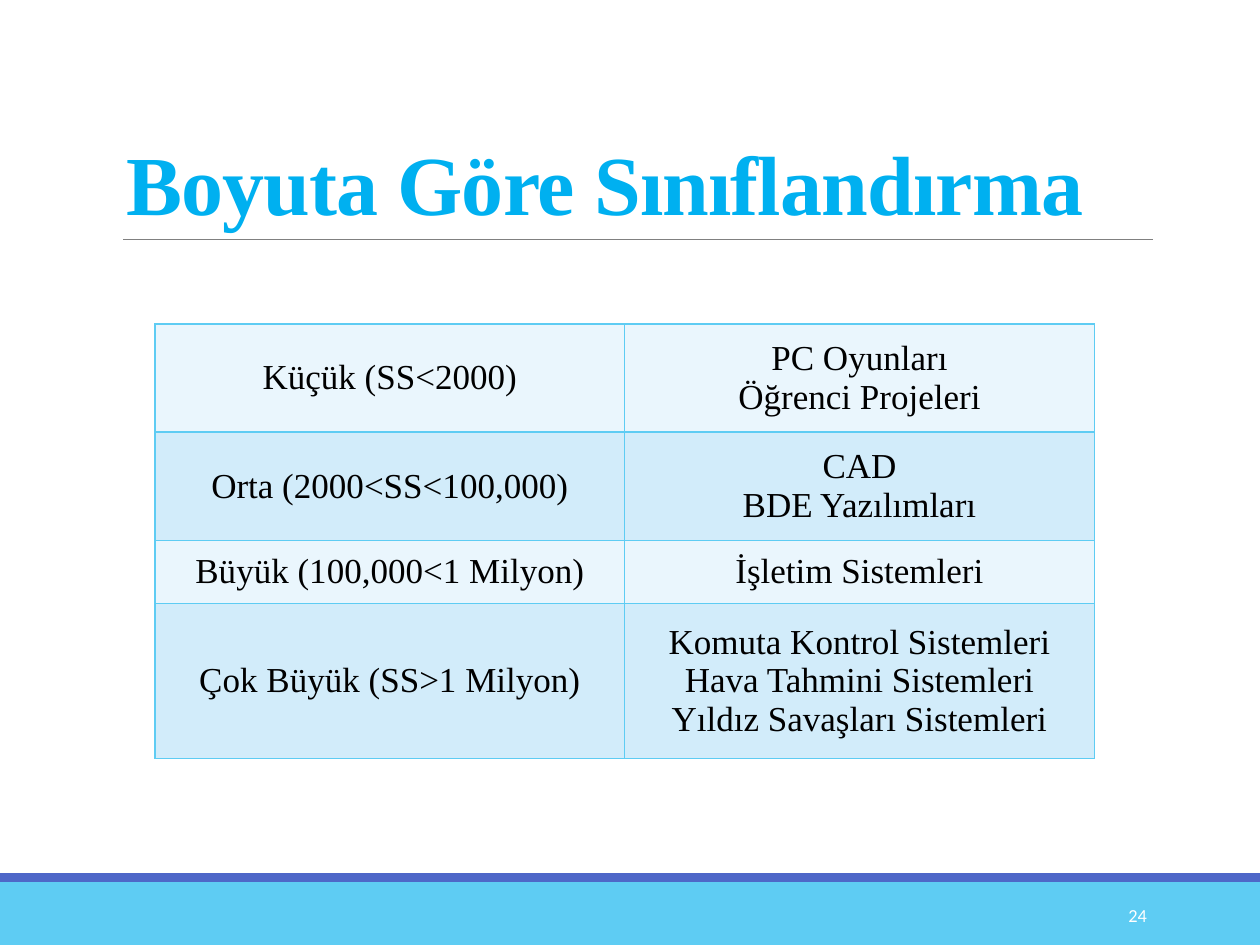
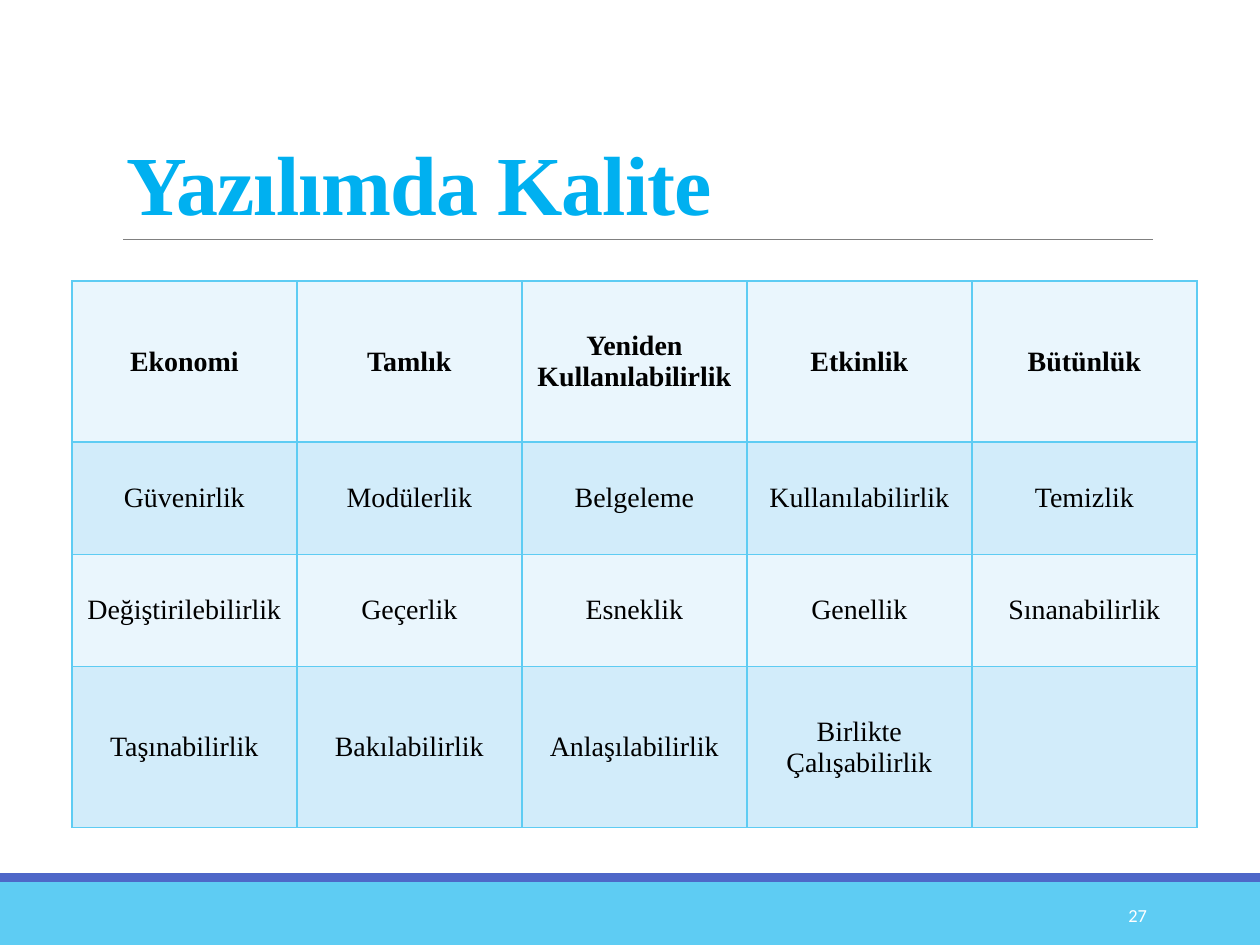
from dataclasses import dataclass

from lxml import etree
from pptx import Presentation, util as u
from pptx.dml.color import RGBColor
from pptx.enum import shapes, text
from pptx.oxml import ns

# Shared look; the slide is a grid of 100 columns by 75 rows
WIDTH, HEIGHT = u.Inches(10), u.Inches(7.5)
COLUMNS, ROWS = 100, 75
SERIF, SANS = "Times New Roman", "Calibri"
SKY, INDIGO, GRAY, WHITE, BLACK = "5ECCF3", "4E67C8", "808080", "FFFFFF", "000000"
TITLE_BLUE = "00B0F0"
ROW_FILLS = ("EAF6FD", "D2ECFA")
LEFT, RIGHT, RULE_ROW = 9, 91.5, 19


@dataclass(frozen=True)
class Box:
    left: float
    top: float
    width: float
    height: float

    def lengths(self) -> tuple:
        return (across(self.left), down(self.top),
                across(self.width), down(self.height))


@dataclass(frozen=True)
class Band:
    box: Box
    color: str


@dataclass(frozen=True)
class TableSlide:
    title: str
    title_top: float
    number: int
    left: float
    top: float
    column_width: float
    row_heights: tuple
    size: float
    cells: tuple
    bold_header: bool = False


BANDS = (
    Band(Box(0, 70, COLUMNS, 5), SKY),
    Band(Box(0, 69.3, COLUMNS, 0.7), INDIGO),
)
NUMBER_BOX = Box(81.2, 70.6, 10.8, 4)

SLIDES = (
    TableSlide(
        "Boyuta Göre Sınıflandırma", 3.1, 24, 12.3, 25.7, 37.28,
        (8.6, 8.6, 5, 12.3), 20,
        (
            ("Küçük (SS<2000)", "PC Oyunları\nÖğrenci Projeleri"),
            ("Orta (2000<SS<100,000)", "CAD\nBDE Yazılımları"),
            ("Büyük (100,000<1 Milyon)", "İşletim Sistemleri"),
            ("Çok Büyük (SS>1 Milyon)",
             "Komuta Kontrol Sistemleri\nHava Tahmini Sistemleri\n"
             "Yıldız Savaşları Sistemleri"),
        ),
    ),
    TableSlide(
        "Yazılımda Kalite", 9.9, 27, 5.7, 22.3, 17.86,
        (12.8, 8.9, 8.9, 12.8), 16,
        (
            ("Ekonomi", "Tamlık", "Yeniden Kullanılabilirlik", "Etkinlik", "Bütünlük"),
            ("Güvenirlik", "Modülerlik", "Belgeleme", "Kullanılabilirlik", "Temizlik"),
            ("Değiştirilebilirlik", "Geçerlik", "Esneklik", "Genellik", "Sınanabilirlik"),
            ("Taşınabilirlik", "Bakılabilirlik", "Anlaşılabilirlik",
             "Birlikte Çalışabilirlik", ""),
        ),
        bold_header=True,
    ),
)


def across(columns: float) -> int:
    return round(WIDTH * columns / COLUMNS)


def down(rows: float) -> int:
    return round(HEIGHT * rows / ROWS)


def paint(target, color: str) -> None:
    """Fill a shape, cell or background with one colour."""
    target.fill.solid()
    target.fill.fore_color.rgb = RGBColor.from_string(color)


def write(frame, content: str, *, size: float, color: str, font: str = SERIF,
          bold: bool = False, align=text.PP_ALIGN.LEFT, anchor=None,
          line_spacing: float | None = None, tracking: float = 0) -> None:
    """Write one paragraph for each line of the content."""
    frame.word_wrap = True
    if anchor is not None:
        frame.vertical_anchor = anchor
    for index, line in enumerate(content.split("\n")):
        paragraph = frame.add_paragraph() if index else frame.paragraphs[0]
        paragraph.alignment = align
        paragraph.line_spacing = line_spacing
        run = paragraph.add_run()
        run.text = line
        run.font.name, run.font.size, run.font.bold = font, u.Pt(size), bold
        run.font.color.rgb = RGBColor.from_string(color)
        if tracking:
            run._r.get_or_add_rPr().set("spc", str(round(tracking * 100)))


def add_frame(slide, number: int) -> None:
    """Draw the footer bands, the rule under the title and the slide number."""
    for band in BANDS:
        shape = slide.shapes.add_shape(shapes.MSO_SHAPE.RECTANGLE, *band.box.lengths())
        shape.shadow.inherit = False
        paint(shape, band.color)
        shape.line.fill.background()

    rule = slide.shapes.add_connector(
        shapes.MSO_CONNECTOR.STRAIGHT,
        across(9.8), down(RULE_ROW), across(RIGHT), down(RULE_ROW))
    rule.line.color.rgb = RGBColor.from_string(GRAY)
    rule.line.width = u.Pt(0.5)
    etree.SubElement(rule._element.spPr, ns.qn("a:effectLst"))

    number_box = slide.shapes.add_textbox(*NUMBER_BOX.lengths())
    write(number_box.text_frame, str(number), size=10.5, color=WHITE, font=SANS,
          align=text.PP_ALIGN.RIGHT, anchor=text.MSO_ANCHOR.MIDDLE)


def add_title(slide, title: str, top: float) -> None:
    shape = slide.shapes.title
    box = Box(LEFT, top, RIGHT - LEFT, RULE_ROW - top)
    shape.left, shape.top, shape.width, shape.height = box.lengths()
    shape.text_frame.auto_size = text.MSO_AUTO_SIZE.NONE
    write(shape.text_frame, title, size=48, color=TITLE_BLUE, bold=True,
          anchor=text.MSO_ANCHOR.BOTTOM, line_spacing=0.85, tracking=-0.5)


def add_borders(cell, color: str, width: float) -> None:
    properties = cell._tc.get_or_add_tcPr()
    for side in ("a:lnL", "a:lnR", "a:lnT", "a:lnB"):
        line = etree.SubElement(properties, ns.qn(side), w=str(u.Pt(width)))
        fill = etree.SubElement(line, ns.qn("a:solidFill"))
        etree.SubElement(fill, ns.qn("a:srgbClr"), val=color)


def add_grid_table(slide, content: TableSlide) -> None:
    column_count = len(content.cells[0])
    box = Box(content.left, content.top,
              content.column_width * column_count, sum(content.row_heights))
    table = slide.shapes.add_table(
        len(content.cells), column_count, *box.lengths()).table
    table.first_row = table.horz_banding = False
    for column in table.columns:
        column.width = across(content.column_width)
    for row_index, (row, height) in enumerate(zip(table.rows, content.row_heights)):
        row.height = down(height)
        for cell, words in zip(row.cells, content.cells[row_index]):
            add_borders(cell, SKY, 1)
            paint(cell, ROW_FILLS[row_index % 2])
            cell.vertical_anchor = text.MSO_ANCHOR.MIDDLE
            if words:
                write(cell.text_frame, words, size=content.size, color=BLACK,
                      bold=content.bold_header and row_index == 0,
                      align=text.PP_ALIGN.CENTER)


def main() -> None:
    presentation = Presentation()
    presentation.slide_width, presentation.slide_height = WIDTH, HEIGHT
    title_only = presentation.slide_layouts[5]
    for content in SLIDES:
        slide = presentation.slides.add_slide(title_only)
        paint(slide.background, WHITE)
        add_frame(slide, content.number)
        add_title(slide, content.title, content.title_top)
        add_grid_table(slide, content)
    presentation.save("out.pptx")


if __name__ == "__main__":
    main()
